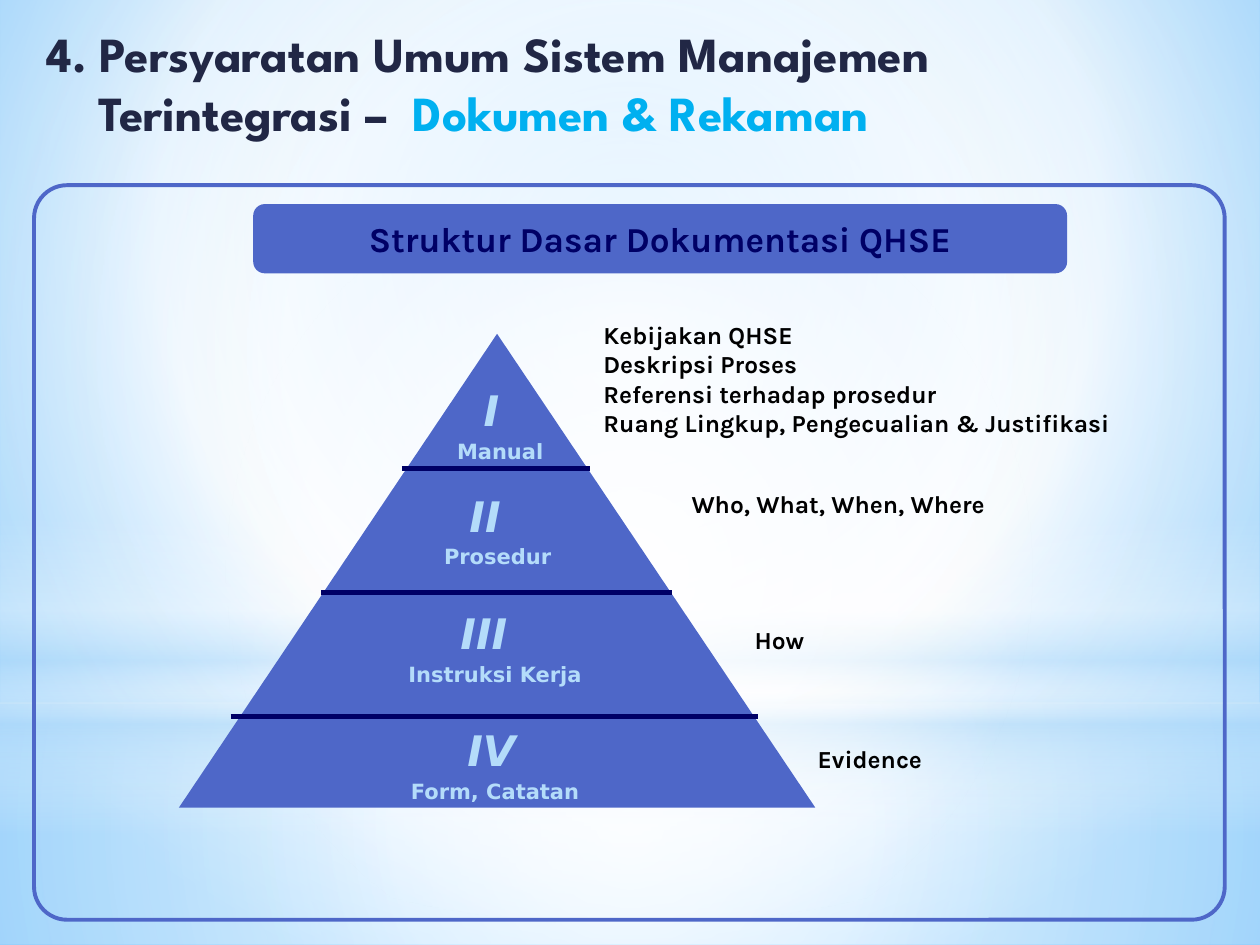
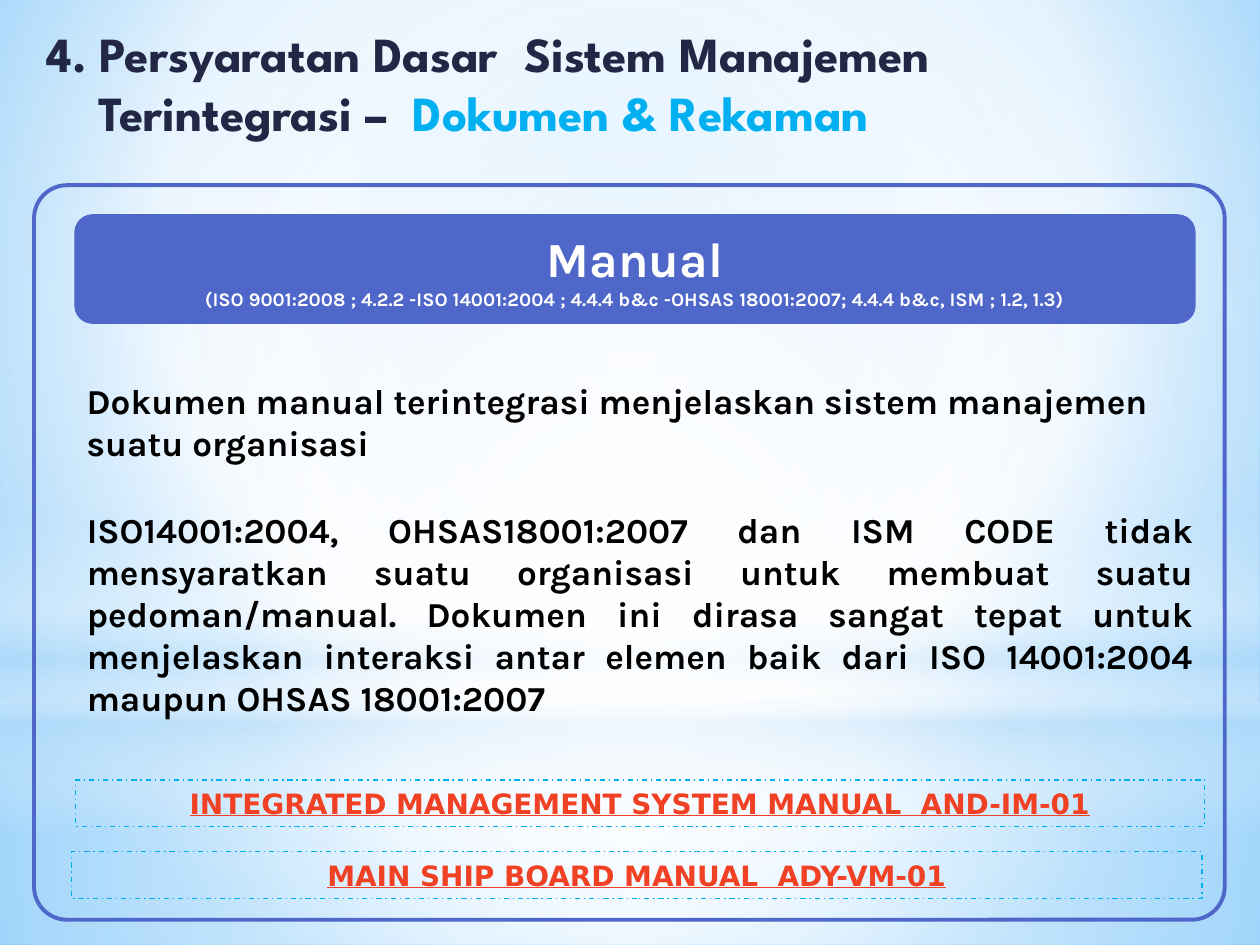
import lxml.etree
import pptx
import pptx.dml.color
import pptx.enum.dml
import pptx.enum.shapes
import pptx.enum.text
import pptx.oxml.ns
import pptx.util

RGBColor = pptx.dml.color.RGBColor
Shape = pptx.enum.shapes.MSO_SHAPE
Align = pptx.enum.text.PP_ALIGN
Anchor = pptx.enum.text.MSO_ANCHOR
qn = pptx.oxml.ns.qn

WHITE = RGBColor(0xFF, 0xFF, 0xFF)
BLACK = RGBColor(0x00, 0x00, 0x00)
INDIGO = RGBColor(0x4E, 0x67, 0xC8)
NAVY = RGBColor(0x00, 0x00, 0x66)
INK = RGBColor(0x21, 0x27, 0x45)
CYAN = RGBColor(0x00, 0xB0, 0xF0)
PALE = RGBColor(0xB4, 0xDC, 0xFA)
SKY = RGBColor(0x9E, 0xD5, 0xFF)
AZURE = RGBColor(0x5B, 0xB9, 0xFF)
RED = RGBColor(0xF1, 0x41, 0x24)

BODY_FONT = "Karla"
TITLE_FONT = "League Spartan"
LABEL_FONT = "DejaVu Sans"

WIDTH = pptx.util.Inches(10)
HEIGHT = pptx.util.Inches(7.5)
CENTRE = (50, 50, 50, 50)

GLOWS = [
    (Shape.RECTANGLE, (0, 74.4, 100, 25.6), CENTRE,
     [(0, WHITE, 91), (37, WHITE, 76), (100, PALE, 79)]),
    (Shape.RECTANGLE, (0, 0, 100, 74.4), CENTRE,
     [(0, WHITE, 89), (48, WHITE, 62), (100, PALE, 79)]),
    (Shape.RECTANGLE, (0, 54.93, 100, 33.33), None,
     [(0, WHITE, 0), (29, WHITE, 30), (45, PALE, 40),
      (55, WHITE, 26), (65, PALE, 60), (100, WHITE, 0)]),
    (Shape.OVAL, (0, 23.33, 100, 74.4), CENTRE,
     [(0, WHITE, 100), (56, WHITE, 0)]),
]

TIERS = [
    ("I", "Manual", 39, 39.7, 40),
    ("II", "Prosedur", 38.5, 39.5, 51.2),
    ("III", "Instruksi Kerja", 38.4, 39.3, 63.6),
    ("IV", "Form, Catatan", 39, 39.3, 76),
]
DIVIDERS = [(31.9, 46.8, 49.6), (25.5, 53.3, 62.67), (18.3, 60.2, 75.8)]

NOTES = [
    ((46.9, 33.2, 46.5, 13.87),
     ["Kebijakan QHSE", "Deskripsi Proses", "Referensi terhadap prosedur",
      "Ruang Lingkup, Pengecualian & Justifikasi"]),
    ((53.9, 51.07, 25.3, 7.6), ["Who, What, When, Where"]),
    ((58.9, 65.47, 10, 4.4), ["How"]),
    ((63.9, 78.13, 15, 4.4), ["Evidence"]),
]


def across(share):
    return int(WIDTH * share / 100)


def down(share):
    return int(HEIGHT * share / 100)


def place(area):
    left, top, width, height = area
    return across(left), down(top), across(width), down(height)


def paint_gradient(fill, element, stops, focus):
    fill.gradient()
    gradient = next(element.iter(qn("a:gradFill")))
    for child in list(gradient):
        gradient.remove(child)
    stop_list = lxml.etree.SubElement(gradient, qn("a:gsLst"))
    for position, color, opacity in stops:
        stop = lxml.etree.SubElement(stop_list, qn("a:gs"), pos=str(position * 1000))
        tone = lxml.etree.SubElement(stop, qn("a:srgbClr"), val=str(color))
        if opacity < 100:
            lxml.etree.SubElement(tone, qn("a:alpha"), val=str(opacity * 1000))
    if focus is None:
        lxml.etree.SubElement(gradient, qn("a:lin"), ang="5400000", scaled="0")
        return
    circle = lxml.etree.SubElement(gradient, qn("a:path"), path="circle")
    edges = {side: str(share * 1000) for side, share in zip("ltrb", focus)}
    lxml.etree.SubElement(circle, qn("a:fillToRect"), **edges)


def add_panel(page, kind, area, fill=None, line=None, weight=1, dash=None, corner=None):
    panel = page.shapes.add_shape(kind, *place(area))
    panel.shadow.inherit = False
    if corner is not None:
        panel.adjustments[0] = corner
    if fill is None:
        panel.fill.background()
    else:
        panel.fill.solid()
        panel.fill.fore_color.rgb = fill
    if line is None:
        panel.line.fill.background()
    else:
        panel.line.color.rgb = line
        panel.line.width = pptx.util.Pt(weight)
        panel.line.dash_style = dash
    panel.text_frame.word_wrap = True
    return panel


def add_box(page, area):
    box = page.shapes.add_textbox(*place(area))
    box.text_frame.word_wrap = True
    return box.text_frame


def write(frame, text, size=14, font=BODY_FONT, color=BLACK, align=Align.LEFT,
          italic=False, underline=False, indent=0, joined=False):
    para = frame.paragraphs[-1]
    if para.runs and not joined:
        para = frame.add_paragraph()
    if not joined:
        para.alignment = align
        if indent:
            para._p.get_or_add_pPr().set("marL", str(across(indent)))
    span = para.add_run()
    span.text = text
    span.font.size = pptx.util.Pt(size)
    span.font.name = font
    span.font.color.rgb = color
    span.font.bold = True
    span.font.italic = italic
    span.font.underline = underline


def add_divider(page, start, end, height):
    divider = page.shapes.add_connector(
        pptx.enum.shapes.MSO_CONNECTOR.STRAIGHT,
        across(start), down(height), across(end), down(height))
    divider.line.color.rgb = NAVY
    divider.line.width = pptx.util.Pt(3)
    lxml.etree.SubElement(divider.element.spPr, qn("a:effectLst"))


def add_centred(page, text, middle, top, **style):
    width = 29.4
    frame = add_box(page, (middle - width / 2, top, width, 4))
    write(frame, text, font=LABEL_FONT, color=PALE, align=Align.CENTER, **style)


def add_banner(page, area):
    banner = add_panel(page, Shape.ROUNDED_RECTANGLE, area, fill=INDIGO, corner=0.167)
    banner.text_frame.vertical_anchor = Anchor.MIDDLE
    return banner.text_frame


def add_reference(page, text, area):
    frame = add_panel(page, Shape.RECTANGLE, area, line=CYAN, weight=0.75,
                      dash=pptx.enum.dml.MSO_LINE.DASH_DOT).text_frame
    write(frame, text, size=16, font=LABEL_FONT, color=RED,
          align=Align.CENTER, underline=True)


def start_page(deck, heading):
    page = deck.slides.add_slide(deck.slide_layouts[6])
    paint_gradient(page.background.fill, page.element,
                   [(0, SKY, 100), (60, WHITE, 100), (100, AZURE, 100)],
                   (20, 10, 20, 60))
    for kind, area, focus, stops in GLOWS:
        glow = add_panel(page, kind, area)
        paint_gradient(glow.fill, glow.element, stops, focus)
    title = add_box(page, (2.7, 1.87, 80.9, 15.2))
    style = {"size": 28, "font": TITLE_FONT}
    write(title, heading, color=INK, **style)
    write(title, "Terintegrasi –  ", color=INK, indent=4.1, **style)
    write(title, "Dokumen & Rekaman", color=CYAN, joined=True, **style)
    add_panel(page, Shape.ROUNDED_RECTANGLE, (2.7, 19.6, 94.5, 77.73),
              line=INDIGO, weight=2.25, corner=0.045)
    return page


def build_pyramid(deck):
    page = start_page(deck, "4. Persyaratan Umum Sistem Manajemen")
    banner = add_banner(page, (20.1, 21.6, 64.6, 7.33))
    write(banner, "Struktur Dasar Dokumentasi QHSE", size=20, color=NAVY,
          align=Align.CENTER)
    add_panel(page, Shape.ISOSCELES_TRIANGLE, (14.2, 35.33, 50.5, 50.13), fill=INDIGO)
    for divider in DIVIDERS:
        add_divider(page, *divider)
    for numeral, label, numeral_middle, label_middle, top in TIERS:
        add_centred(page, numeral, numeral_middle, top, size=24, italic=True)
        add_centred(page, label, label_middle, top + 5.7, size=12)
    for area, lines in NOTES:
        note = add_box(page, area)
        for line in lines:
            write(note, line)


def build_manual(deck):
    page = start_page(deck, "4. Persyaratan Dasar  Sistem Manajemen")
    banner = add_banner(page, (5.9, 22.67, 89, 11.6))
    write(banner, "Manual", size=28, color=WHITE, align=Align.CENTER)
    write(banner, "(ISO 9001:2008 ; 4.2.2 -ISO 14001:2004 ; 4.4.4 b&c "
          "-OHSAS 18001:2007; 4.4.4 b&c, ISM ; 1.2, 1.3)",
          size=11, color=WHITE, align=Align.CENTER)
    write(add_box(page, (5.9, 39.47, 89, 12)),
          "Dokumen manual terintegrasi menjelaskan sistem manajemen "
          "suatu organisasi", size=20)
    write(add_box(page, (5.9, 53.2, 89.8, 28)),
          "ISO14001:2004, OHSAS18001:2007 dan ISM CODE tidak mensyaratkan "
          "suatu organisasi untuk membuat suatu pedoman/manual. Dokumen ini "
          "dirasa sangat tepat untuk menjelaskan interaksi antar elemen baik "
          "dari ISO 14001:2004 maupun OHSAS 18001:2007",
          size=20, align=Align.JUSTIFY)
    add_reference(page, "INTEGRATED MANAGEMENT SYSTEM MANUAL  AND-IM-01",
                  (6, 82.53, 89.6, 4.93))
    add_reference(page, "MAIN SHIP BOARD MANUAL  ADY-VM-01",
                  (5.7, 90.13, 89.7, 4.93))


def main():
    deck = pptx.Presentation()
    deck.slide_width = WIDTH
    deck.slide_height = HEIGHT
    build_pyramid(deck)
    build_manual(deck)
    deck.save("out.pptx")


if __name__ == "__main__":
    main()
